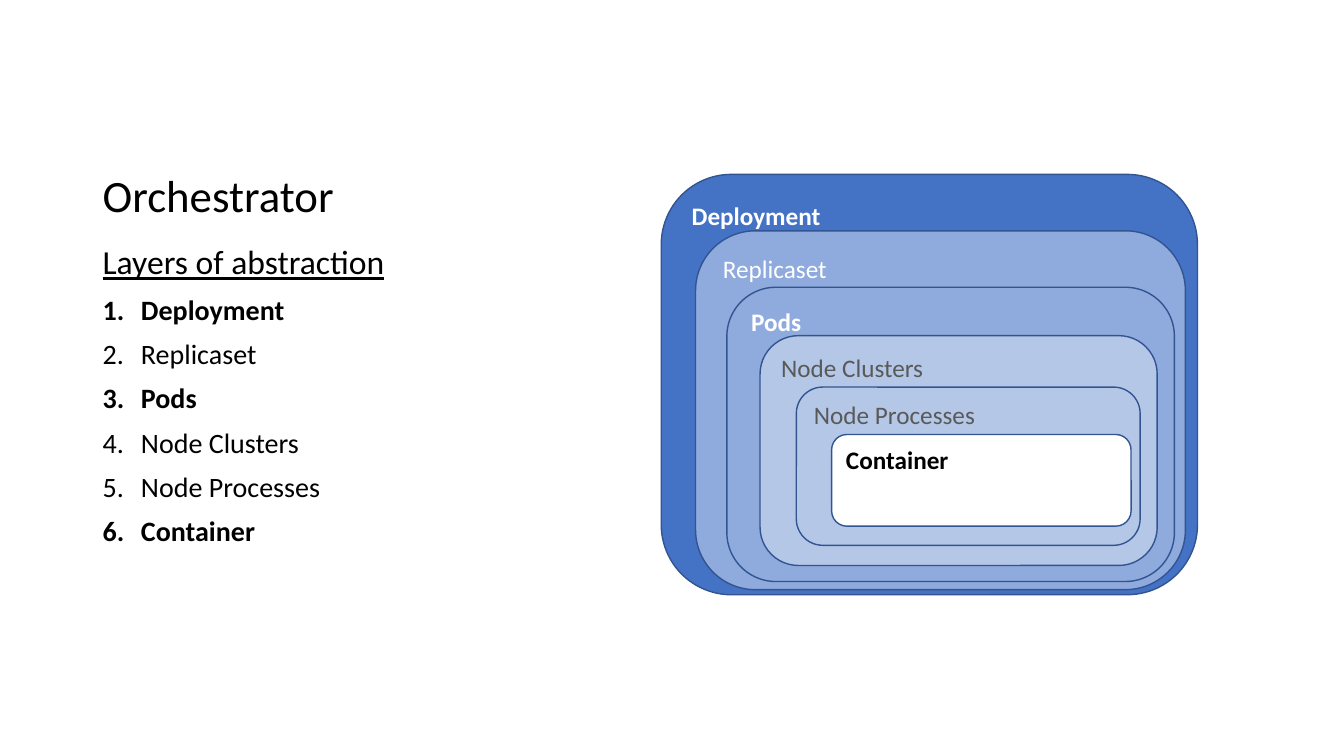
"""Draw the layers of abstraction of a container system as a list and as nested boxes."""
from dataclasses import dataclass

from lxml.etree import SubElement
from pptx import Presentation
from pptx.dml.color import RGBColor
from pptx.enum.shapes import MSO_SHAPE as Kind
from pptx.enum.text import MSO_ANCHOR as Anchor, PP_ALIGN as Align
from pptx.oxml.ns import qn
from pptx.util import Emu, Inches, Pt

FONT = "Calibri"
EDGE = "325491"


@dataclass(frozen=True)
class Box:
    x: float
    y: float
    w: float
    h: float


@dataclass(frozen=True)
class Layer:
    name: str
    box: Box
    fill: str
    ink: str
    bold: bool = False


TITLE = Box(6.9, 6.67, 32.25, 23.33)
BODY = Box(6.9, 31.87, 32.25, 46.8)
LAYERS = [
    Layer("Deployment", Box(49.2, 23.07, 39.9, 55.6), "4472C4", "FFFFFF", True),
    Layer("Replicaset", Box(51.75, 30.53, 36.45, 47.47), "8FAADC", "FFFFFF"),
    Layer("Pods", Box(54.08, 38, 33.3, 38.93), "8FAADC", "FFFFFF", True),
    Layer("Node Clusters", Box(56.55, 44.4, 29.55, 30.4), "B4C7E7", "595959"),
    Layer("Node Processes", Box(59.25, 51.2, 25.58, 20.93), "B4C7E7", "595959"),
    Layer("Container", Box(61.88, 57.47, 22.28, 12.13), "FFFFFF", "000000", True),
]

deck = Presentation()
deck.slide_width, deck.slide_height = Inches(13.33), Inches(7.5)
slide = deck.slides.add_slide(deck.slide_layouts[6])


def hue(code: str) -> RGBColor:
    return RGBColor.from_string(code)


def place(box: Box) -> tuple[Emu, Emu, Emu, Emu]:
    wide, high = deck.slide_width / 100, deck.slide_height / 100
    return (Emu(int(box.x * wide)), Emu(int(box.y * high)),
            Emu(int(box.w * wide)), Emu(int(box.h * high)))


def write(para, text: str, *, size: int, ink: str = "000000", bold: bool = False,
          under: bool = False, lead: float = 1, before: int = 0,
          count: bool = False) -> None:
    para.alignment = Align.LEFT
    para.line_spacing, para.space_before = lead, Pt(before)
    run = para.add_run()
    run.text = text
    font = run.font
    font.name, font.size, font.bold, font.underline = FONT, Pt(size), bold, under
    font.color.rgb = hue(ink)
    if count:
        props = para._p.get_or_add_pPr()
        props.set("marL", str(Inches(0.38)))
        props.set("indent", str(-Inches(0.38)))
        SubElement(props, qn("a:buFont"), typeface="+mj-lt")
        SubElement(props, qn("a:buAutoNum"), type="arabicPeriod")


def frame(box: Box, anchor: Anchor):
    text = slide.shapes.add_textbox(*place(box)).text_frame
    text.word_wrap, text.vertical_anchor = True, anchor
    return text


def nest(layer: Layer) -> None:
    shape = slide.shapes.add_shape(Kind.ROUNDED_RECTANGLE, *place(layer.box))
    shape.shadow.inherit = False
    shape.fill.solid()
    shape.fill.fore_color.rgb = hue(layer.fill)
    shape.line.color.rgb, shape.line.width = hue(EDGE), Pt(1)
    text = shape.text_frame
    text.word_wrap, text.vertical_anchor = True, Anchor.TOP
    write(text.paragraphs[0], layer.name, size=18, ink=layer.ink, bold=layer.bold)


write(frame(TITLE, Anchor.BOTTOM).paragraphs[0], "Orchestrator", size=32, lead=0.9)
body = frame(BODY, Anchor.TOP)
write(body.paragraphs[0], "Layers of abstraction", size=24, under=True,
      lead=0.9, before=10)
for layer in LAYERS:
    write(body.add_paragraph(), layer.name, size=20, bold=layer.bold,
          lead=0.9, before=10, count=True)
    nest(layer)

deck.save("out.pptx")
